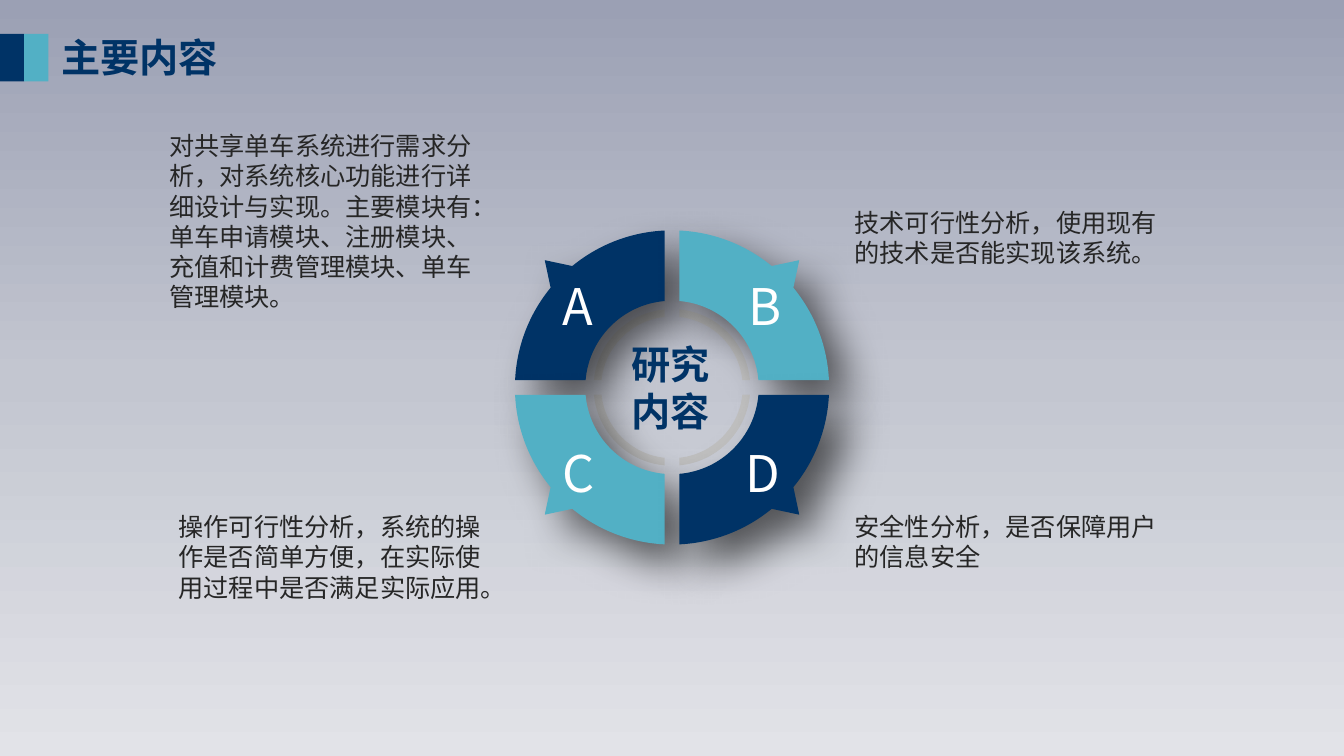
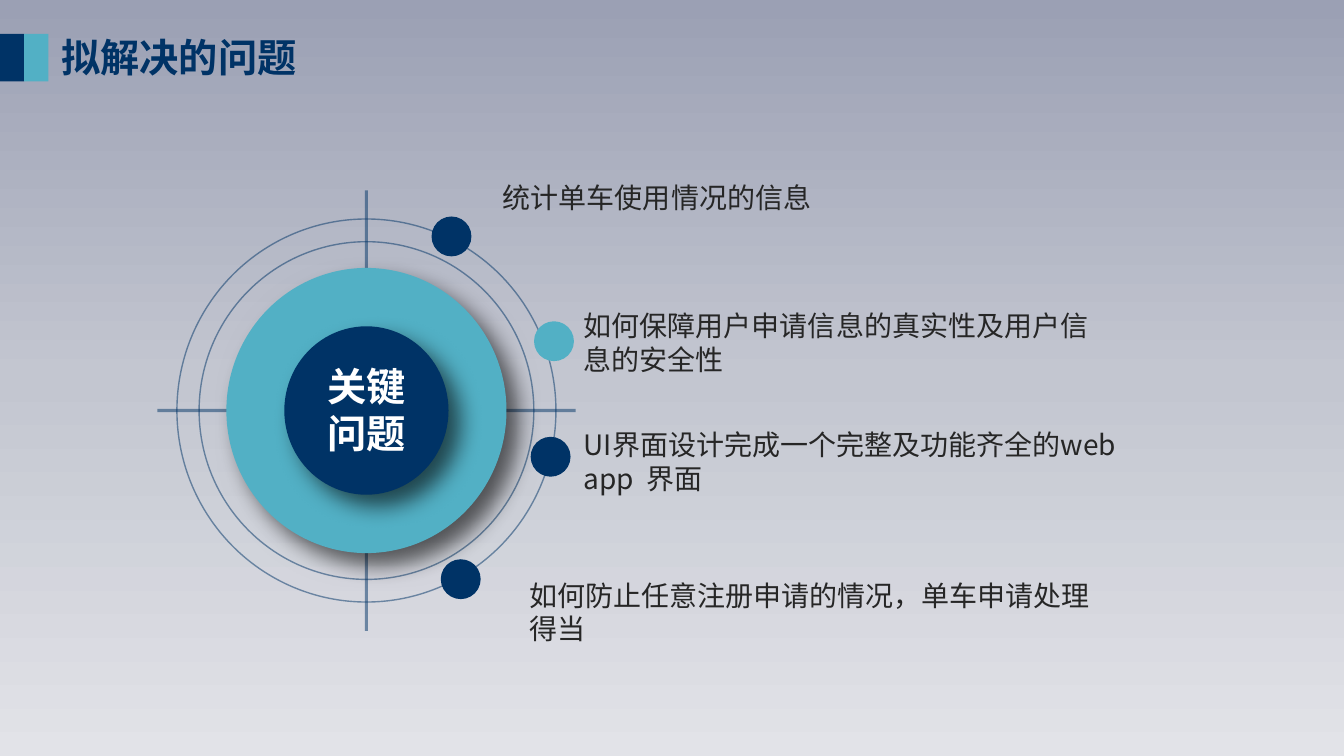
from itertools import product
from math import asin, cos, pi, radians, sin, tan

from lxml.etree import SubElement
from pptx import Presentation
from pptx.dml.color import RGBColor
from pptx.enum.shapes import MSO_CONNECTOR as Connector, MSO_SHAPE as Preset
from pptx.enum.text import MSO_ANCHOR as Anchor, MSO_AUTO_SIZE as AutoSize, PP_ALIGN as Align
from pptx.oxml.ns import qn
from pptx.util import Inches, Pt

COLUMNS, ROWS = 64, 36
CELL = Inches(7.5) / ROWS
FONT = "Noto Sans CJK SC"
COLORS = {
    "navy": "003366", "teal": "52B0C5", "gray": "BFBFBF", "ink": "262626",
    "white": "FFFFFF", "shadow": "000000",
    "sky": "9BA0B4", "haze": "C3C6D0", "mist": "E2E3E8",
}
NARROW = (Inches(0.08), Inches(0.04))


def cells(*counts):
    """Turn counts of grid cells into lengths."""
    return [round(count * CELL) for count in counts]


def rgb(name):
    """Return a named colour."""
    return RGBColor.from_string(COLORS[name])


def style_text(shape, text, size, color, bold=False, align=Align.LEFT, anchor=Anchor.TOP):
    """Write one paragraph in the deck's font."""
    frame = shape.text_frame
    frame.text = text
    frame.vertical_anchor = anchor
    paragraph = frame.paragraphs[0]
    paragraph.alignment = align
    font = paragraph.font
    font.size, font.bold, font.name = Pt(size), bold, FONT
    font.color.rgb = rgb(color)
    for properties in shape.element.iter(qn("a:defRPr")):
        SubElement(properties, qn("a:ea"), typeface=FONT)


def add_text(slide, box, text, size, color="ink", narrow=False, wrap=True, **style):
    """Add a text box, with narrow insets and a middle anchor on request."""
    shape = slide.shapes.add_textbox(*cells(*box))
    frame = shape.text_frame
    frame.word_wrap = wrap
    frame.auto_size = AutoSize.SHAPE_TO_FIT_TEXT
    if narrow:
        frame.margin_left = frame.margin_right = NARROW[0]
        frame.margin_top = frame.margin_bottom = NARROW[1]
        style["anchor"] = Anchor.MIDDLE
    style_text(shape, text, size, color, **style)


def paint(shape, color, shadow=None):
    """Fill a shape without outline, with an optional (blur, distance) shadow."""
    shape.fill.solid()
    shape.fill.fore_color.rgb = rgb(color)
    shape.line.fill.background()
    shape.shadow.inherit = False
    if shadow:
        blur, distance = shadow
        effects = shape.element.spPr.find(qn("a:effectLst"))
        outer = SubElement(effects, qn("a:outerShdw"), blurRad=str(Pt(blur)),
                           dist=str(Pt(distance)), dir="2700000", rotWithShape="0")
        tint = SubElement(outer, qn("a:srgbClr"), val=COLORS["shadow"])
        SubElement(tint, qn("a:alpha"), val="60000")


def draw_faint_line(shape, width):
    """Give a shape or connector a half transparent navy line."""
    shape.line.width = Pt(width)
    shape.line.color.rgb = rgb("navy")
    tint = shape.element.spPr.find(qn("a:ln")).find(".//" + qn("a:srgbClr"))
    SubElement(tint, qn("a:alpha"), val="50000")


def add_ellipse(slide, center, width, height):
    """Add an ellipse around its center."""
    left, top = center[0] - width / 2, center[1] - height / 2
    return slide.shapes.add_shape(Preset.OVAL, *cells(left, top, width, height))


def add_cross_line(slide, center, reach_x, reach_y):
    """Add a faint line that runs through the center."""
    x, y = center
    line = slide.shapes.add_connector(
        Connector.STRAIGHT, *cells(x - reach_x, y - reach_y, x + reach_x, y + reach_y))
    draw_faint_line(line, 2.25)
    SubElement(line.element.spPr, qn("a:effectLst"))


def polar(radius, angle):
    """Return the point at a radius and angle."""
    return radius * cos(angle), radius * sin(angle)


def arc(radius, start, end):
    """Return two steps: a line to the start of an arc, and its curve."""
    handle = 4 / 3 * tan((end - start) / 4)
    (x1, y1), (x2, y2) = polar(radius, start), polar(radius, end)
    curve = [(x1 - handle * y1, y1 + handle * x1), (x2 + handle * y2, y2 - handle * x2), (x2, y2)]
    return [[(x1, y1)], curve]


def quarter_ring(center, signs, inner, outer, tip=None, half_gap=0.35):
    """List the steps around a quarter ring, with an optional pointed tip."""
    trim_inner, trim_outer = asin(half_gap / inner), asin(half_gap / outer)
    steps = arc(inner, pi / 2 - trim_inner, trim_inner)
    if tip:
        base = radians(5.6)
        steps += arc(outer, trim_outer, pi / 4 - base)
        steps.append([polar(tip, pi / 4)])
        steps += arc(outer, pi / 4 + base, pi / 2 - trim_outer)
    else:
        steps += arc(outer, trim_outer, pi / 2 - trim_outer)
    return [[cells(center[0] + signs[0] * x, center[1] + signs[1] * y) for x, y in step]
            for step in steps]


def bend(segment, points, shape):
    """Turn a straight path segment into a cubic curve."""
    segment.clear()
    curve = segment.makeelement(qn("a:cubicBezTo"))
    for x, y in points:
        SubElement(curve, qn("a:pt"), x=str(x - shape.left), y=str(y - shape.top))
    segment.getparent().replace(segment, curve)


def add_outline(slide, contours, color, shadow=None):
    """Add a freeform made of closed contours with curves."""
    builder = slide.shapes.build_freeform(*contours[0][0][-1])
    for index, contour in enumerate(contours):
        if index:
            builder.move_to(*contour[0][-1])
        builder.add_line_segments([step[-1] for step in contour[1:]], close=True)
    shape = builder.convert_to_shape()
    steps = [step for contour in contours for step in contour[1:]]
    for segment, step in zip(list(shape.element.iter(qn("a:lnTo"))), steps):
        if len(step) == 3:
            bend(segment, step, shape)
    paint(shape, color, shadow)


def set_background(master):
    """Give the master a vertical three-stop gradient."""
    fill = master.background.fill
    fill.gradient()
    fill.gradient_angle = 270
    stops = master.element.find(".//" + qn("p:bg")).find(".//" + qn("a:gsLst"))
    for stop in list(stops):
        stops.remove(stop)
    for position, name in ((0, "sky"), (50, "haze"), (100, "mist")):
        stop = SubElement(stops, qn("a:gs"), pos=str(position * 1000))
        SubElement(stop, qn("a:srgbClr"), val=COLORS[name])


def add_titled_slide(presentation, title):
    """Add a slide with its title and the two bands beside it."""
    slide = presentation.slides.add_slide(presentation.slide_layouts[5])
    shape = slide.shapes.title
    shape.left, shape.top, shape.width, shape.height = cells(2.45, 1.35, 17.28, 2.74)
    shape.text_frame.auto_size = AutoSize.NONE
    style_text(shape, title, 28, "navy", bold=True)
    for index, color in enumerate(("navy", "teal")):
        band = slide.shapes.add_shape(
            Preset.RECTANGLE, *cells(index * 1.15, 1.62, 1.15, 2.26))
        paint(band, color)
    return slide


def build_content_slide(presentation):
    """Build the ring of four research topics."""
    slide = add_titled_slide(presentation, "主要内容")
    center = (32, 18.45)
    corners = list(product((-1, 1), repeat=2))
    add_outline(slide, [quarter_ring(center, signs, 3.37, 3.73) for signs in corners], "gray")
    for signs, color in zip(corners, ("navy", "teal", "teal", "navy")):
        segment = quarter_ring(center, signs, 4.13, 7.48, tip=8.57)
        add_outline(slide, [segment], color, shadow=(30, 20))
    add_text(slide, (29.04, 15.96, 5.76, 4.99), "研究内容", 28, "navy",
             bold=True, align=Align.CENTER)
    letters = (("A", 26.4, 12.89, 2.5), ("B", 35.26, 12.89, 2.3),
               ("C", 26.4, 20.83, 2.45), ("D", 35.12, 20.83, 2.64))
    for letter, left, top, width in letters:
        add_text(slide, (left, top, width, 3.31), letter, 36, "white", narrow=True, wrap=False)
    topics = (
        (7.58, 5.97, 9.22, "对共享单车系统进行需求分析，对系统核心功能进行详细设计与实现。"
                           "主要模块有：单车申请模块、注册模块、充值和计费管理模块、单车管理模块。"),
        (40.22, 9.63, 4.85, "技术可行性分析，使用现有的技术是否能实现该系统。"),
        (8.03, 24.12, 4.85, "操作可行性分析，系统的操作是否简单方便，在实际使用过程中是否满足实际应用。"),
        (40.22, 24.12, 3.41, "安全性分析，是否保障用户的信息安全"),
    )
    for left, top, height, text in topics:
        add_text(slide, (left, top, 16.03, height), text, 18)


def build_problem_slide(presentation):
    """Build the target with four key problems."""
    slide = add_titled_slide(presentation, "拟解决的问题")
    center = (17.45, 19.55)
    add_cross_line(slide, center, 9.96, 0)
    add_cross_line(slide, center, 0, 10.49)
    for width, height in ((15.94, 16.08), (18.05, 18.24)):
        orbit = add_ellipse(slide, center, width, height)
        orbit.fill.background()
        orbit.shadow.inherit = False
        draw_faint_line(orbit, 1)
    for width, height, color in ((13.34, 13.58, "teal"), (7.82, 8.02, "navy")):
        paint(add_ellipse(slide, center, width, height), color, shadow=(16, 12))
    add_text(slide, (14.3, 17.01, 6.29, 4.99), "关键问题", 28, "white",
             bold=True, align=Align.CENTER)
    problems = (
        ((21.5, 11.26), "navy", (23.47, 8.35, 27.31, 2.11), False,
         "统计单车使用情况的信息"),
        ((26.38, 16.25), "teal", (27.41, 14.5, 25.9, 3.6), True,
         "如何保障用户申请信息的真实性及用户信息的安全性"),
        ((26.22, 21.75), "navy", (27.41, 20.16, 28.7, 3.6), True,
         "UI界面设计完成一个完整及功能齐全的web app  界面"),
        ((21.94, 27.58), "navy", (24.72, 27.3, 28.22, 3.7), False,
         "如何防止任意注册申请的情况，单车申请处理得当"),
    )
    for dot, color, box, narrow, text in problems:
        paint(add_ellipse(slide, dot, 1.9, 1.9), color)
        add_text(slide, box, text, 20, narrow=narrow)


def main():
    """Build and save the presentation."""
    presentation = Presentation()
    presentation.slide_width, presentation.slide_height = cells(COLUMNS, ROWS)
    set_background(presentation.slide_master)
    build_content_slide(presentation)
    build_problem_slide(presentation)
    presentation.save("out.pptx")


main()
